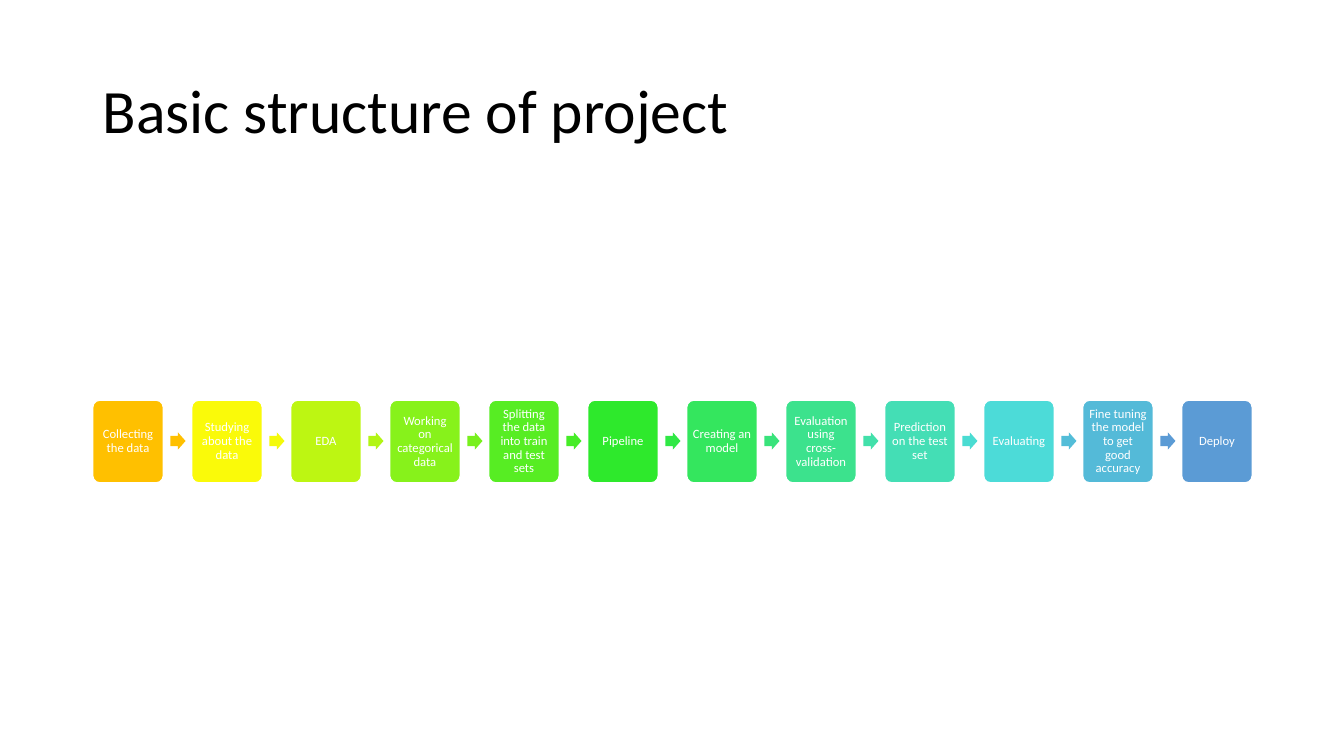
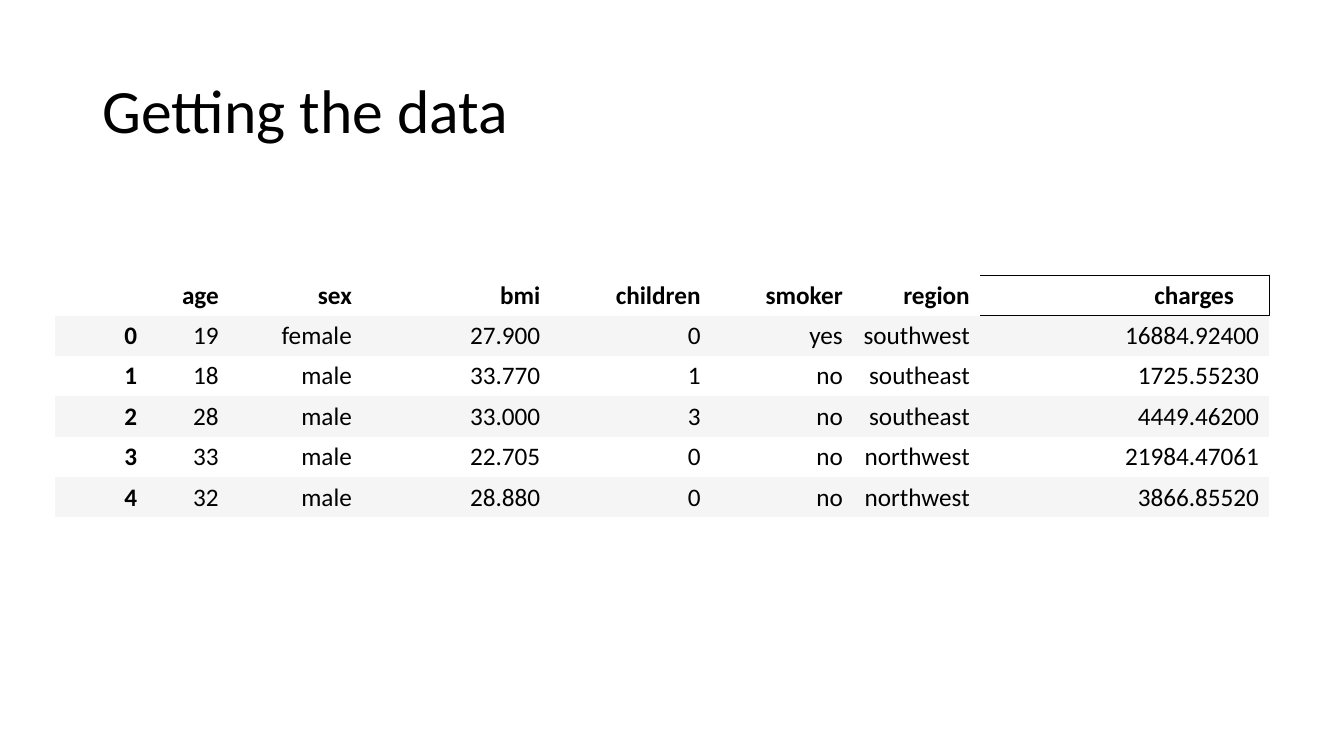
from lxml import etree
from pptx import Presentation
from pptx.dml.color import RGBColor
from pptx.enum.shapes import MSO_SHAPE as Preset
from pptx.enum.text import MSO_ANCHOR as Anchor, PP_ALIGN as Align
from pptx.oxml.ns import qn
from pptx.util import Inches, Pt

# Shared look
FONT = "Calibri"
BLACK, WHITE, BAND = "000000", "FFFFFF", "F5F5F5"
PLAIN_TABLE_STYLE = "{2D5ABB26-0587-4C30-8999-92F81FD0307C}"

# Process steps: label, box colour, colour of the arrow that follows
STEPS = [
    ("Collecting the data", "FFC000", "FFC000"),
    ("Studying about the data", "FAFA09", "F4FA0A"),
    ("EDA", "BDF612", "B2F514"),
    ("Working on categorical data", "87F21B", "78F01D"),
    ("Splitting the data into train and test sets", "57ED23", "46EC27"),
    ("Pipeline", "2EE92C", "30E845"),
    ("Creating an model", "34E65E", "39E37B"),
    ("Evaluation using cross-validation", "3CE28D", "42E0AA"),
    ("Prediction on the test set", "44DEB5", "4ADCD2"),
    ("Evaluating", "4CDBD8", "53BDD8"),
    ("Fine tuning the model to get good accuracy", "54BAD8", "5B9BD5"),
    ("Deploy", "5B9BD5", None),
]

COLUMN_WIDTHS = [0.91, 0.81, 1.32, 1.87, 1.59, 1.41, 1.26, 2.87]
ROWS = [
    ["", "age", "sex", "bmi", "children", "smoker", "region", "charges"],
    ["0", "19", "female", "27.900", "0", "yes", "southwest", "16884.92400"],
    ["1", "18", "male", "33.770", "1", "no", "southeast", "1725.55230"],
    ["2", "28", "male", "33.000", "3", "no", "southeast", "4449.46200"],
    ["3", "33", "male", "22.705", "0", "no", "northwest", "21984.47061"],
    ["4", "32", "male", "28.880", "0", "no", "northwest", "3866.85520"],
]


def colour(value):
    return RGBColor.from_string(value)


def write(frame, text, size=18, color=BLACK, bold=False, align=Align.LEFT,
          spacing=1.0, inset=None):
    """Put one formatted paragraph into a text frame."""
    frame.word_wrap = True
    if inset is not None:
        frame.margin_left = frame.margin_right = Inches(inset)
        frame.margin_top = frame.margin_bottom = Inches(inset)
    para = frame.paragraphs[0]
    para.alignment = align
    para.line_spacing = spacing
    span = para.add_run()
    span.text = text
    span.font.name = FONT
    span.font.size = Pt(size)
    span.font.bold = bold
    span.font.color.rgb = colour(color)


def add_page(deck, title):
    page = deck.slides.add_slide(deck.slide_layouts[6])
    box = page.shapes.add_textbox(Inches(0.92), Inches(0.4), Inches(11.5), Inches(1.45))
    box.text_frame.vertical_anchor = Anchor.MIDDLE
    write(box.text_frame, title, size=44, spacing=0.9)
    return page


def add_block(page, preset, left, top, width, height, fill, adjustments, line=None):
    shape = page.shapes.add_shape(preset, Inches(left), Inches(top),
                                  Inches(width), Inches(height))
    shape.shadow.inherit = False
    for index, value in enumerate(adjustments):
        shape.adjustments[index] = value
    shape.fill.solid()
    shape.fill.fore_color.rgb = colour(fill)
    if line:
        shape.line.color.rgb = colour(line)
        shape.line.width = Pt(1)
    else:
        shape.line.fill.background()
    return shape


def add_process(page, steps, left=0.92, right=12.42, top=3.97):
    """Spread the step boxes evenly, with an arrow in each gap."""
    width, height = 0.7, 0.82
    pitch = (right - left - width) / (len(steps) - 1)
    for index, (label, fill, arrow_fill) in enumerate(steps):
        x = left + index * pitch
        box = add_block(page, Preset.ROUNDED_RECTANGLE, x, top, width, height,
                        fill, [0.1], line=WHITE)
        box.text_frame.vertical_anchor = Anchor.MIDDLE
        write(box.text_frame, label, size=9, color=WHITE, align=Align.CENTER,
              spacing=0.9, inset=0.04)
        if arrow_fill:
            add_block(page, Preset.RIGHT_ARROW, x + 0.77, top + 0.32, 0.15, 0.17,
                      arrow_fill, [0.6, 0.5])


def add_cell_border(cell, edges):
    properties = cell._tc.get_or_add_tcPr()
    for edge in edges:
        line = etree.SubElement(properties, qn(f"a:ln{edge}"), w=str(Pt(1)))
        fill = etree.SubElement(line, qn("a:solidFill"))
        etree.SubElement(fill, qn("a:srgbClr"), val=BLACK)


def add_data_table(page, rows, widths, left=0.55, top=2.73, row_height=0.4):
    frame = page.shapes.add_table(len(rows), len(widths), Inches(left), Inches(top),
                                  Inches(sum(widths)), Inches(row_height * len(rows)))
    table = frame.table
    table._tbl.tblPr.find(qn("a:tableStyleId")).text = PLAIN_TABLE_STYLE
    table.first_row = table.horz_banding = False
    for column, width in zip(table.columns, widths):
        column.width = Inches(width)

    # The last heading is outlined and set in from the right
    charges = table.cell(0, len(widths) - 1)
    charges.margin_right = Inches(0.35)
    add_cell_border(charges, "RTB")

    for row, values in enumerate(rows):
        for col, value in enumerate(values):
            cell = table.cell(row, col)
            cell.vertical_anchor = Anchor.MIDDLE
            if row % 2:
                cell.fill.solid()
                cell.fill.fore_color.rgb = colour(BAND)
            else:
                cell.fill.background()
            write(cell.text_frame, value, bold=row == 0 or col == 0, align=Align.RIGHT)


def main():
    deck = Presentation()
    deck.slide_width, deck.slide_height = Inches(13.33), Inches(7.5)
    add_process(add_page(deck, "Basic structure of project"), STEPS)
    add_data_table(add_page(deck, "Getting the data"), ROWS, COLUMN_WIDTHS)
    deck.save("out.pptx")


if __name__ == "__main__":
    main()
